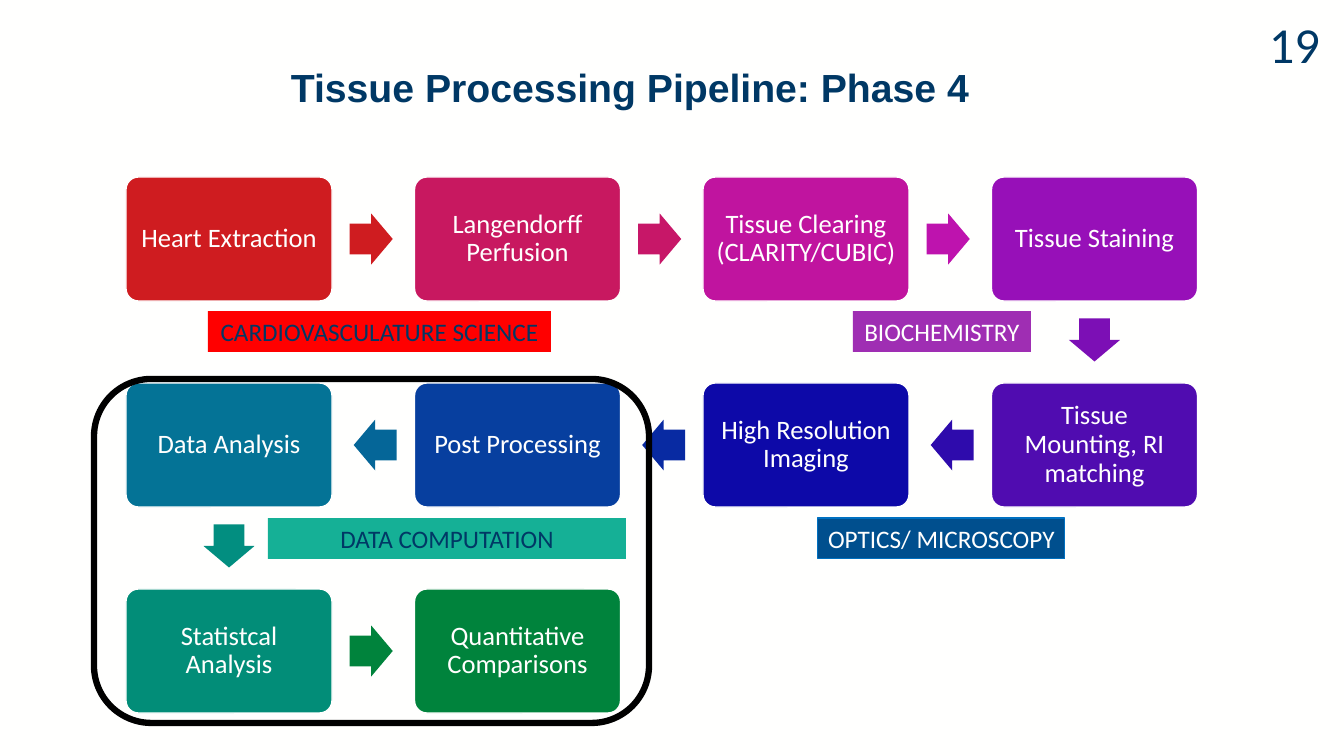
from pptx import Presentation
from pptx.dml.color import RGBColor
from pptx.enum.shapes import MSO_SHAPE as Shape
from pptx.enum.text import MSO_ANCHOR as Anchor, PP_ALIGN as Align
from pptx.util import Pt

PX = 9144000 / 1008  # EMU in one px
WHITE, NAVY = "FFFFFE", "003865"

# text, column, row, fill, fill of the arrow to the next step
STEPS = [
    ("Heart Extraction", 0, 0, "CF1C20", "CF1C20"),
    ("Langendorff Perfusion", 1, 0, "C81860", "C71768"),
    ("Tissue Clearing (CLARITY/CUBIC)", 2, 0, "C0149F", "BE13AE"),
    ("Tissue Staining", 3, 0, "9710B8", "7C0FB5"),
    ("Tissue Mounting, RI matching", 3, 1, "500CB0", "2E0BAC"),
    ("High Resolution Imaging", 2, 1, "0D09A8", "082AA2"),
    ("Post Processing", 1, 1, "073F9F", "056698"),
    ("Data Analysis", 0, 1, "047396", "028E80"),
    ("Statistcal Analysis", 0, 2, "028D78", "00833C"),
    ("Quantitative Comparisons", 1, 2, "00833C", None),
]
# text, left, top, width, fill, line, text colour
FIELDS = [
    ("CARDIOVASCULATURE SCIENCE", 208, 311, 343, "FF0000", None, NAVY),
    ("BIOCHEMISTRY", 853, 311, 178, "9F2EB3", None, WHITE),
    ("OPTICS/ MICROSCOPY", 818, 518, 247, "004F8E", "0070C0", WHITE),
    ("DATA COMPUTATION", 268, 518, 358, "15B096", None, NAVY),
]
LEFT, TOP = 126, 177
BOX_W, BOX_H = 206, 124
STEP_X, STEP_Y = 288.5, 206
ARROW_W, ARROW_H = 43, 51
LABEL_H = 41
PAD = 8
BACK = 2  # arrows sit this far back towards the step they leave


def px(n):
    return round(n * PX)


def rgb(code):
    return RGBColor.from_string(code)


def write(frame, text, size, color, font="Calibri", align=Align.CENTER, bold=False):
    frame.text = text
    para = frame.paragraphs[0]
    para.alignment = align
    face = para.runs[0].font
    face.name, face.size, face.bold = font, Pt(size), bold
    face.color.rgb = rgb(color)
    return para


def draw(kind, x, y, w, h, fill=None, line=None, weight=1):
    shape = slide.shapes.add_shape(kind, px(x), px(y), px(w), px(h))
    shape.shadow.inherit = False
    if fill:
        shape.fill.solid()
        shape.fill.fore_color.rgb = rgb(fill)
    else:
        shape.fill.background()
    if line:
        shape.line.color.rgb = rgb(line)
        shape.line.width = Pt(weight)
    else:
        shape.line.fill.background()
    return shape


def caption(text, x, y, w, h, size, **style):
    frame = slide.shapes.add_textbox(px(x), px(y), px(w), px(h)).text_frame
    frame.word_wrap = True
    write(frame, text, size, NAVY, align=Align.LEFT, **style)


def middle(col, row):
    return LEFT + col * STEP_X + BOX_W / 2, TOP + row * STEP_Y + BOX_H / 2


def step(text, col, row, fill):
    x, y = middle(col, row)
    box = draw(Shape.ROUNDED_RECTANGLE, x - BOX_W / 2, y - BOX_H / 2,
               BOX_W, BOX_H, fill, WHITE)
    box.adjustments[0] = 0.1
    frame = box.text_frame
    frame.word_wrap = True
    frame.vertical_anchor = Anchor.MIDDLE
    frame.margin_left = frame.margin_right = px(PAD)
    frame.margin_top = frame.margin_bottom = px(PAD)
    write(frame, text, 19, WHITE).line_spacing = 0.9


def arrow(start, end, fill):
    """Arrow in the gap between two grid cells, turned towards the second."""
    (x1, y1), (x2, y2) = middle(*start), middle(*end)
    dx, dy = end[0] - start[0], end[1] - start[1]
    x, y = (x1 + x2) / 2 - BACK * dx, (y1 + y2) / 2 - BACK * dy
    head = draw(Shape.RIGHT_ARROW, x - ARROW_W / 2, y - ARROW_H / 2,
                ARROW_W, ARROW_H, fill)
    head.adjustments[0], head.adjustments[1] = 0.6, 0.5
    head.rotation = {(1, 0): 0, (0, 1): 90, (-1, 0): 180}[dx, dy]


deck = Presentation()
deck.slide_width, deck.slide_height = px(1344), px(756)
slide = deck.slides.add_slide(deck.slide_layouts[6])
slide.background.fill.solid()
slide.background.fill.fore_color.rgb = rgb(WHITE)

caption("Tissue Processing Pipeline: Phase 4", 281, 58, 1015, 98, 28,
        font="Arial", bold=True)

for text, col, row, fill, _ in STEPS:
    step(text, col, row, fill)
for here, there in zip(STEPS, STEPS[1:]):
    arrow(here[1:3], there[1:3], here[4])

for text, x, y, w, fill, line, color in FIELDS:
    label = draw(Shape.RECTANGLE, x, y, w, LABEL_H, fill, line, 0.75)
    label.text_frame.word_wrap = False
    write(label.text_frame, text, 18, color)

draw(Shape.ROUNDED_RECTANGLE, 94, 379, 555, 344, None, "000000", 4.5)
caption("19", 1259, 8, 76, 72, 36)

deck.save("out.pptx")
